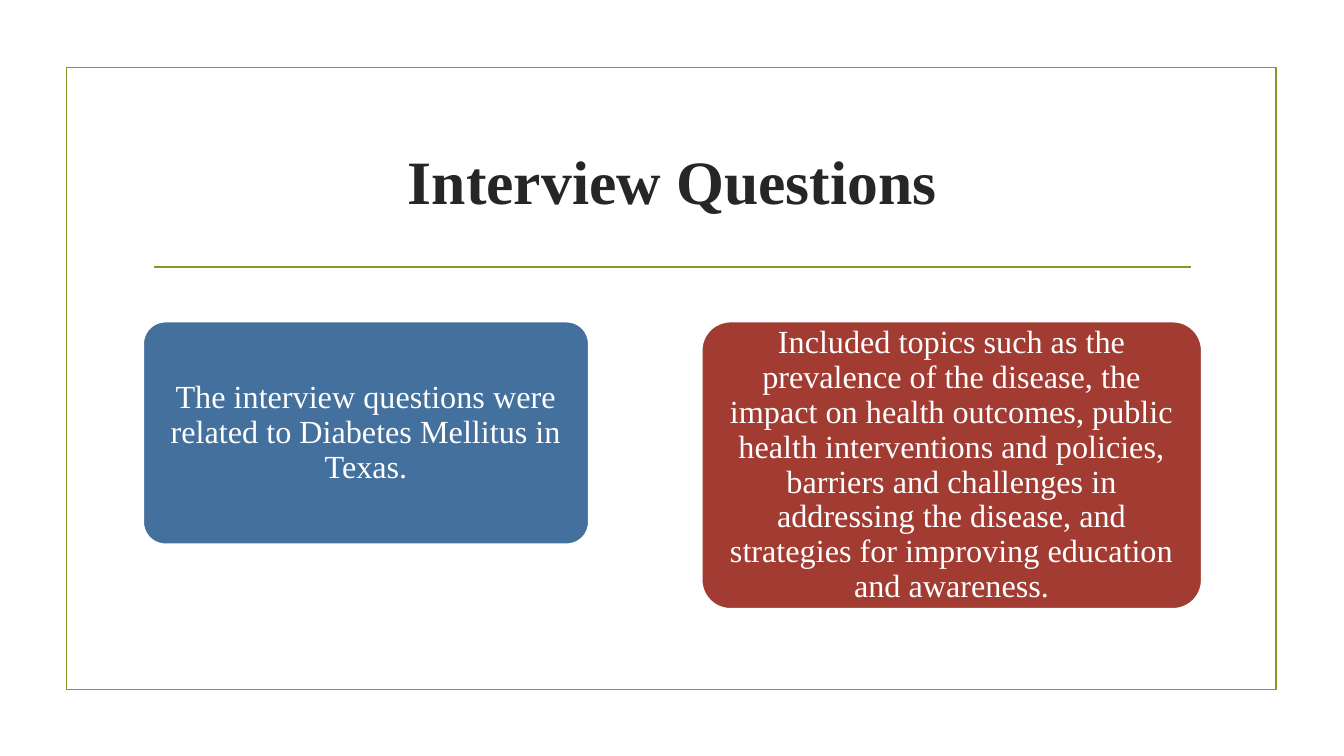
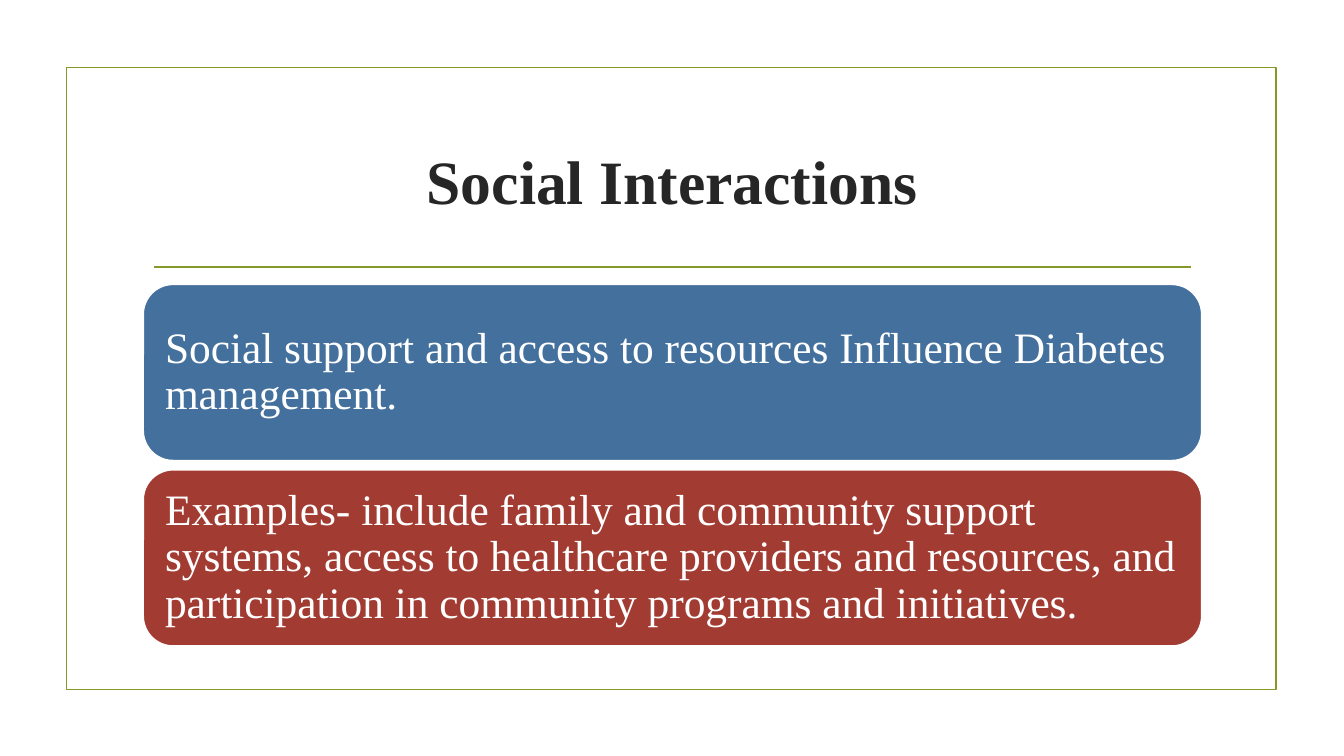
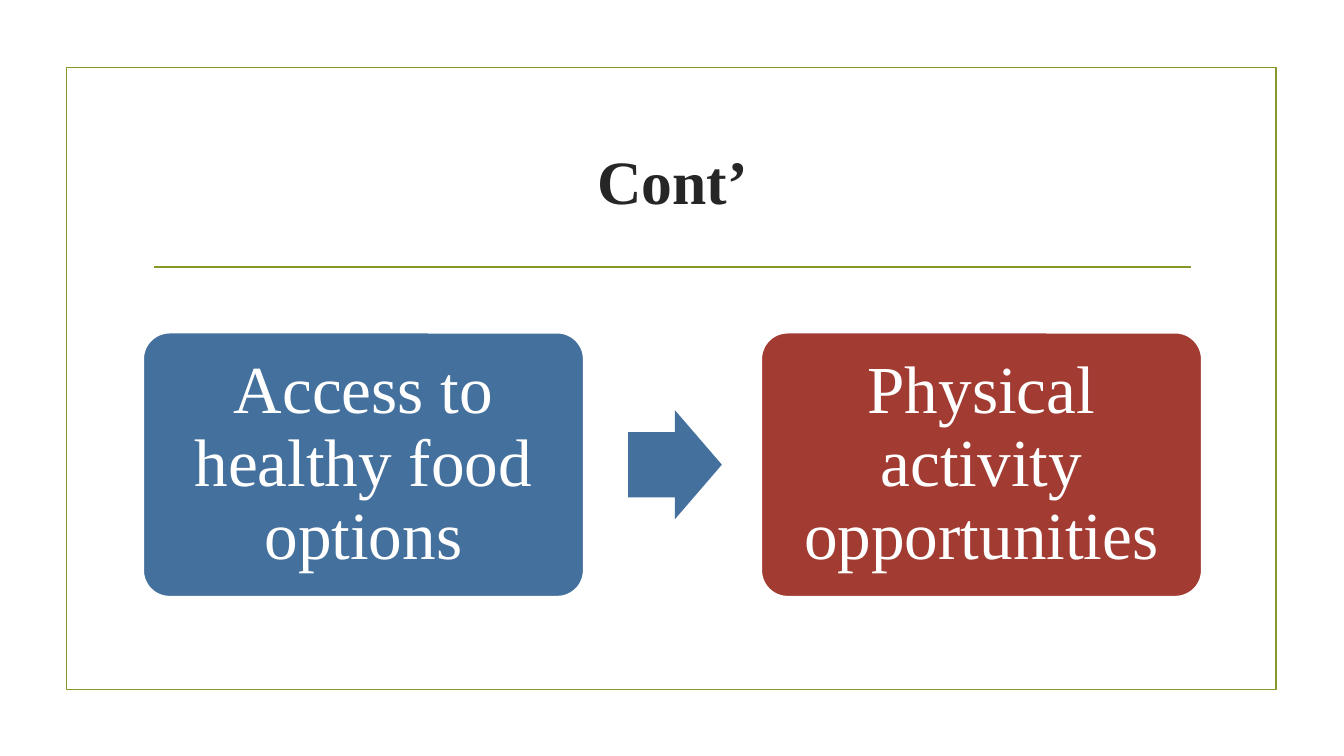
from lxml.etree import SubElement
from pptx import Presentation
from pptx.dml.color import RGBColor
from pptx.enum.shapes import MSO_CONNECTOR, MSO_SHAPE
from pptx.enum.text import MSO_ANCHOR, PP_ALIGN
from pptx.oxml.ns import qn
from pptx.util import Inches, Pt

COLORS = {"olive": "83992A", "ink": "262626", "blue": "44709D", "red": "A23C33", "white": "FFFFFF"}
FONT = "Times New Roman"
LINE_WIDTH = Pt(1.25)
LEFT, WIDTH = 1.42, 10.5


def color(name):
    """Return the named colour."""
    return RGBColor.from_string(COLORS[name])


def style_text(paragraph, size, color_name, bold=False):
    """Format every run of a paragraph."""
    for run in paragraph.runs:
        run.font.name = FONT
        run.font.size = Pt(size)
        run.font.bold = bold
        run.font.color.rgb = color(color_name)


def set_up_layout(layout, slide):
    """Place the title, then draw the frame and rule and move them to the layout."""
    title = layout.placeholders[0]
    title.left, title.top = Inches(LEFT), Inches(1.07)
    title.width, title.height = Inches(WIDTH), Inches(1.43)
    frame = slide.shapes.add_shape(
        MSO_SHAPE.RECTANGLE, Inches(0.66), Inches(0.67), Inches(12), Inches(6.17))
    frame.shadow.inherit = False
    frame.fill.background()
    rule = slide.shapes.add_connector(
        MSO_CONNECTOR.STRAIGHT, Inches(1.53), Inches(2.65), Inches(11.81), Inches(2.65))
    SubElement(rule.element.spPr, qn("a:effectLst"))
    for shape in (frame, rule):
        shape.line.color.rgb = color("olive")
        shape.line.width = LINE_WIDTH
        layout.shapes.element.append(shape.element)


def add_title(slide, text):
    """Fill the title placeholder."""
    text_frame = slide.shapes.title.text_frame
    text_frame.text = text
    text_frame.vertical_anchor = MSO_ANCHOR.MIDDLE
    paragraph = text_frame.paragraphs[0]
    paragraph.alignment = PP_ALIGN.CENTER
    style_text(paragraph, 44, "ink", bold=True)


def add_block(slide, preset, box, fill):
    """Add a flat filled shape in a box of left, top, width and height."""
    shape = slide.shapes.add_shape(preset, *map(Inches, box))
    shape.shadow.inherit = False
    shape.fill.solid()
    shape.fill.fore_color.rgb = color(fill)
    shape.line.fill.background()
    return shape


def add_card(slide, box, fill, text, size, margins, alignment=PP_ALIGN.CENTER, rounding=0.1):
    """Add a rounded card with text; margins are horizontal and vertical."""
    card = add_block(slide, MSO_SHAPE.ROUNDED_RECTANGLE, box, fill)
    card.adjustments[0] = rounding
    card.line.color.rgb = color("white")
    card.line.width = LINE_WIDTH
    text_frame = card.text_frame
    text_frame.word_wrap = True
    text_frame.vertical_anchor = MSO_ANCHOR.MIDDLE
    text_frame.margin_left = text_frame.margin_right = Inches(margins[0])
    text_frame.margin_top = text_frame.margin_bottom = Inches(margins[1])
    text_frame.text = text
    paragraph = text_frame.paragraphs[0]
    paragraph.alignment = alignment
    paragraph.line_spacing = 0.9
    style_text(paragraph, size, "white")


def add_questions(slide, left, top, width, texts):
    """Place two cards of different sizes at the ends of a row."""
    sizes = ((4.42, 2.21), (4.96, 2.85))
    lefts = (left, left + width - sizes[1][0])
    for text, card_left, size, fill in zip(texts, lefts, sizes, ("blue", "red")):
        add_card(slide, (card_left, top, *size), fill, text, 23, (0.05, 0.03))


def add_stack(slide, left, top, width, texts):
    """Stack full-width cards with left-aligned text."""
    height, gap = 1.75, 0.09
    for index, (text, fill) in enumerate(zip(texts, ("blue", "red"))):
        box = (left, top + index * (height + gap), width, height)
        add_card(slide, box, fill, text, 31, (0.13, 0.13), PP_ALIGN.LEFT, 0.17)


def add_process(slide, left, top, width, texts):
    """Place two equal cards with an arrow between them."""
    card_width, card_height = 4.37, 2.62
    arrow_width, arrow_height = 0.93, 1.08
    lefts = (left, left + width - card_width)
    for text, card_left, fill in zip(texts, lefts, ("blue", "red")):
        add_card(slide, (card_left, top, card_width, card_height), fill, text, 48, (0.2, 0.2))
    arrow_box = (left + card_width + 0.44, top + (card_height - arrow_height) / 2,
                 arrow_width, arrow_height)
    arrow = add_block(slide, MSO_SHAPE.RIGHT_ARROW, arrow_box, "blue")
    arrow.adjustments[0] = 0.6
    arrow.adjustments[1] = 0.5


SLIDES = (
    ("Interview Questions", add_questions, 3.19, (
        "The interview questions were related to Diabetes Mellitus in Texas.",
        "Included topics such as the prevalence of the disease, the impact on health outcomes, "
        "public health interventions and policies, barriers and challenges in addressing the "
        "disease, and strategies for improving education and awareness.")),
    ("Social Interactions", add_stack, 2.82, (
        "Social support and access to resources Influence Diabetes management.",
        "Examples- include family and community support systems, access to healthcare providers "
        "and resources, and participation in community programs and initiatives.")),
    ("Cont’", add_process, 3.3, (
        "Access to healthy food options",
        "Physical activity opportunities")),
)


def main():
    """Build and save the presentation."""
    presentation = Presentation()
    presentation.slide_width, presentation.slide_height = Inches(13.33), Inches(7.5)
    layout = presentation.slide_layouts.get_by_name("Title Only")
    for index, (title, add_content, top, texts) in enumerate(SLIDES):
        slide = presentation.slides.add_slide(layout)
        if index == 0:
            set_up_layout(layout, slide)
        add_title(slide, title)
        add_content(slide, LEFT, top, WIDTH, texts)
    presentation.save("out.pptx")


if __name__ == "__main__":
    main()
